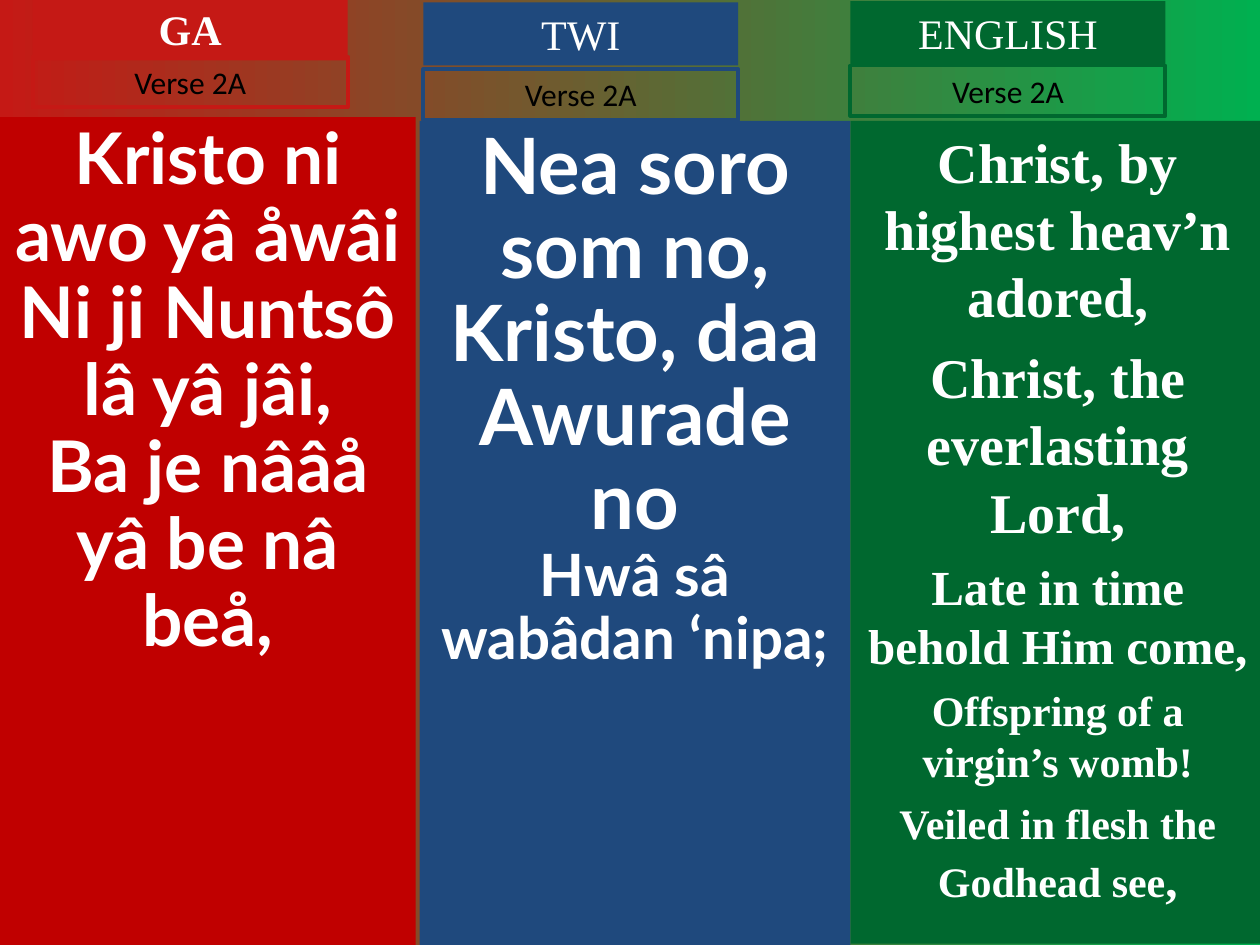
"""Build a hymn slide with one verse in Ga, Twi and English side by side."""
from dataclasses import dataclass

from pptx import Presentation
from pptx.dml.color import RGBColor as Rgb
from pptx.enum.shapes import MSO_SHAPE as Shape
from pptx.enum.text import MSO_ANCHOR as Anchor, PP_ALIGN as Align
from pptx.util import Inches, Pt


@dataclass(frozen=True)
class Theme:
    white: str = "FFFFFF"
    black: str = "000000"
    fade: tuple = ("C51915", "00B050")
    serif: str = "Times New Roman"
    sans: str = "Calibri"
    lyric: str = "Lato"
    heading_size: float = 24
    label_size: float = 18
    border: float = 2.25


THEME = Theme()
TAB_WIDTH, HEADING_HEIGHT, LABEL_HEIGHT = 2.5, 0.5, 0.4
LABEL = "Verse 2A"

COLUMNS = [
    {
        "heading": "GA", "bold": True, "tab_color": "C51915", "color": "C00000",
        "tab_left": 0.26, "heading_top": -0.02, "label_top": 0.45,
        "panel": (0, 0.93, 3.3, 6.57), "font": THEME.lyric, "leading": 0.9,
        "lines": [
            (0, [("Kristo ni awo yâ åwâi", 40.7)]),
            (0, [("Ni ji Nuntsô lâ yâ jâi,", 40.7)]),
            (0, [("Ba je nââå yâ be nâ beå,", 40.7)]),
        ],
    },
    {
        "heading": "TWI", "bold": False, "tab_color": "1F497D", "color": "1F497D",
        "tab_left": 3.36, "heading_top": 0.02, "label_top": 0.55,
        "panel": (3.33, 0.96, 3.42, 6.54), "font": THEME.lyric, "leading": 0.9,
        "lines": [
            (0, [("Nea soro som no,", 44.4)]),
            (0, [("Kristo, daa Awurade no", 44.4)]),
            (0, [("Hwâ sâ wabâdan ‘nipa;", 33.3)]),
        ],
    },
    {
        "heading": "ENGLISH", "bold": False, "tab_color": "00682F", "color": "00682F",
        "tab_left": 6.75, "heading_top": 0.01, "label_top": 0.52,
        "panel": (6.75, 0.96, 3.29, 6.53), "font": THEME.serif, "leading": 1.0,
        "lines": [
            (0, [("Christ, by highest heav’n adored,", 32)]),
            (8, [("Christ, the everlasting Lord,", 32)]),
            (7, [("Late in time behold Him come,", 28)]),
            (6, [("Offspring of a virgin’s womb!", 24)]),
            (7, [("Veiled in flesh the Godhead see", 24), (",", 28)]),
        ],
    },
]


def add_box(slide, place, lines, font, color, bold=False, fill=None, line=None, leading=1.0):
    """Add a rectangle holding centred lines of (space before, spans)."""
    box = slide.shapes.add_shape(Shape.RECTANGLE, *map(Inches, place))
    box.shadow.inherit = False
    if fill:
        box.fill.solid()
        box.fill.fore_color.rgb = Rgb.from_string(fill)
    else:
        box.fill.background()
    if line:
        box.line.color.rgb = Rgb.from_string(line)
        box.line.width = Pt(THEME.border)
    else:
        box.line.fill.background()
    frame = box.text_frame
    frame.word_wrap = True
    frame.vertical_anchor = Anchor.TOP
    for index, (before, spans) in enumerate(lines):
        para = frame.add_paragraph() if index else frame.paragraphs[0]
        para.alignment = Align.CENTER
        para.line_spacing = leading
        para.space_before = Pt(before)
        for text, size in spans:
            span = para.add_run()
            span.text = text
            span.font.name = font
            span.font.size = Pt(size)
            span.font.bold = bold
            span.font.color.rgb = Rgb.from_string(color)


def paint_background(slide):
    """Fade the background from left to right."""
    fill = slide.background.fill
    fill.gradient()
    fill.gradient_angle = 0
    for position, (stop, color) in enumerate(zip(fill.gradient_stops, THEME.fade)):
        stop.color.rgb = Rgb.from_string(color)
        stop.position = position


def add_column(slide, column):
    """Add the lyric panel of one language with its heading and verse label."""
    add_box(slide, column["panel"], column["lines"], column["font"], THEME.white,
            bold=True, fill=column["color"], leading=column["leading"])
    left, tab_color = column["tab_left"], column["tab_color"]
    add_box(slide, (left, column["heading_top"], TAB_WIDTH, HEADING_HEIGHT),
            [(0, [(column["heading"], THEME.heading_size)])], THEME.serif, THEME.white,
            bold=column["bold"], fill=tab_color)
    add_box(slide, (left, column["label_top"], TAB_WIDTH, LABEL_HEIGHT),
            [(0, [(LABEL, THEME.label_size)])], THEME.sans, THEME.black, line=tab_color)


def main():
    """Build and save the deck."""
    deck = Presentation()
    deck.slide_width, deck.slide_height = Inches(10), Inches(7.5)
    slide = deck.slides.add_slide(deck.slide_layouts.get_by_name("Blank"))
    paint_background(slide)
    for column in COLUMNS:
        add_column(slide, column)
    deck.save("out.pptx")


if __name__ == "__main__":
    main()
